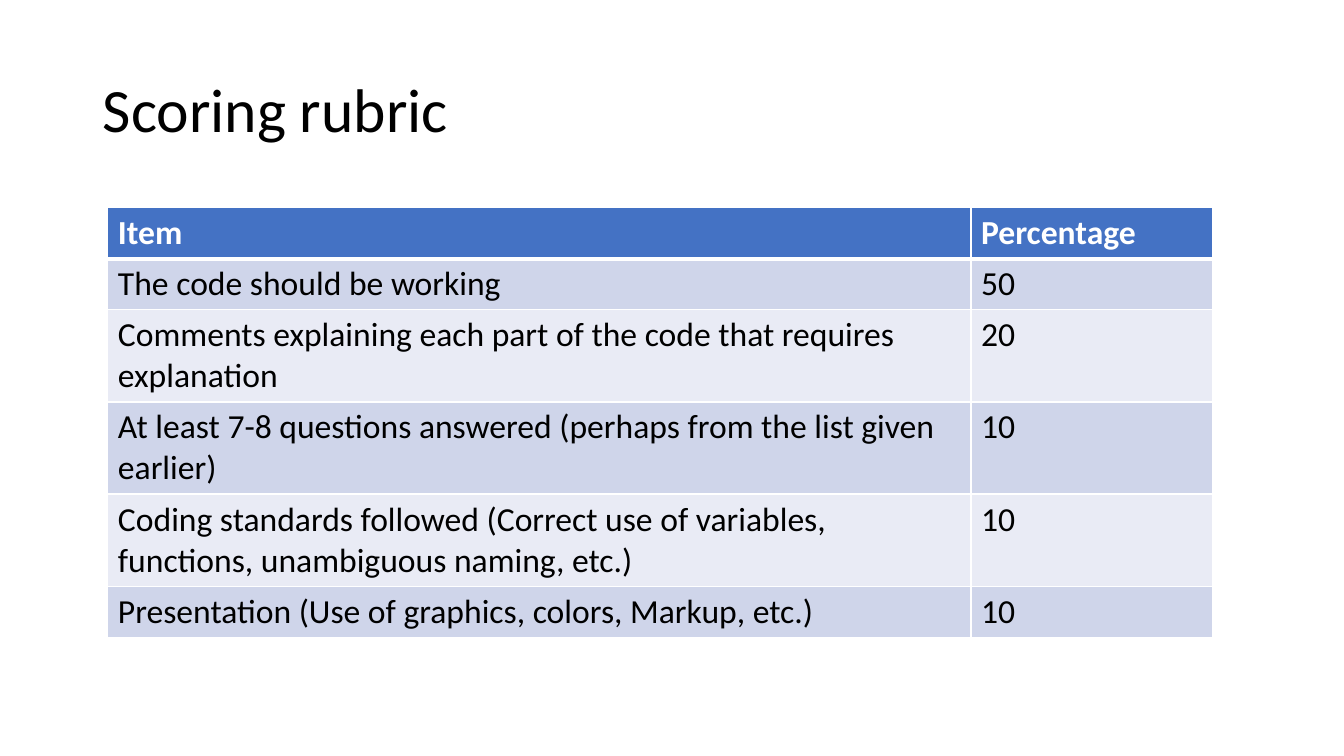
from lxml.etree import SubElement
from pptx import Presentation
from pptx.dml.color import RGBColor
from pptx.enum.text import MSO_ANCHOR as Anchor, MSO_AUTO_SIZE as AutoSize, PP_ALIGN as Align
from pptx.oxml.ns import qn
from pptx.util import Inches, Pt

BLACK, WHITE, HEADER_BLUE = "000000", "FFFFFF", "4472C4"
BAND_FILLS = ["CFD5EA", "E9EBF5"]
COLUMN_WIDTHS = [8.56, 2.4]
ROW_HEIGHT = 0.41
RUBRIC = [
    ("Item", "Percentage"),
    ("The code should be working", "50"),
    ("Comments explaining each part of the code that requires explanation", "20"),
    ("At least 7-8 questions answered (perhaps from the list given earlier)", "10"),
    ("Coding standards followed (Correct use of variables, functions, unambiguous naming, etc.)", "10"),
    ("Presentation (Use of graphics, colors, Markup, etc.)", "10"),
]


def color(hex_code):
    return RGBColor.from_string(hex_code)


def format_font(font, hex_code, **values):
    for name, value in {"name": "Calibri", **values}.items():
        setattr(font, name, value)
    font.color.rgb = color(hex_code)


def add_title(page, text):
    title = page.shapes.title
    title.left, title.top, title.width, title.height = map(Inches, (0.92, 0.4, 11.5, 1.44))
    frame = title.text_frame
    frame.text = text
    frame.auto_size = AutoSize.NONE
    frame.vertical_anchor = Anchor.MIDDLE
    para = frame.paragraphs[0]
    para.alignment = Align.LEFT
    para.line_spacing = 0.9
    format_font(para.runs[0].font, BLACK, size=Pt(44))


def set_borders(cell, bottom_width):
    """Draw white borders; call before filling, as lines precede the fill in the XML."""
    properties = cell._tc.get_or_add_tcPr()
    for side, width in {"L": 1, "R": 1, "T": 1, "B": bottom_width}.items():
        line = SubElement(properties, qn(f"a:ln{side}"), w=str(Pt(width)))
        SubElement(SubElement(line, qn("a:solidFill")), qn("a:srgbClr"), val=WHITE)


def fill_cell(cell, text, fill, text_color, bold, bottom_width):
    cell.text = text
    set_borders(cell, bottom_width)
    cell.fill.solid()
    cell.fill.fore_color.rgb = color(fill)
    format_font(cell.text_frame.paragraphs[0].runs[0].font, text_color, size=Pt(24), bold=bold)


def add_rubric(page, rows):
    table = page.shapes.add_table(
        len(rows), len(COLUMN_WIDTHS), Inches(1.07), Inches(2.06),
        Inches(sum(COLUMN_WIDTHS)), Inches(ROW_HEIGHT * len(rows))).table
    for column, width in zip(table.columns, COLUMN_WIDTHS):
        column.width = Inches(width)
    for row_index, texts in enumerate(rows):
        if row_index == 0:
            style = (HEADER_BLUE, WHITE, True, 3)
        else:
            style = (BAND_FILLS[(row_index - 1) % 2], BLACK, False, 1)
        for column_index, text in enumerate(texts):
            fill_cell(table.cell(row_index, column_index), text, *style)


def main():
    deck = Presentation()
    deck.slide_width, deck.slide_height = Inches(13.33), Inches(7.5)
    page = deck.slides.add_slide(deck.slide_layouts[5])
    add_title(page, "Scoring rubric")
    add_rubric(page, RUBRIC)
    deck.save("out.pptx")


if __name__ == "__main__":
    main()
